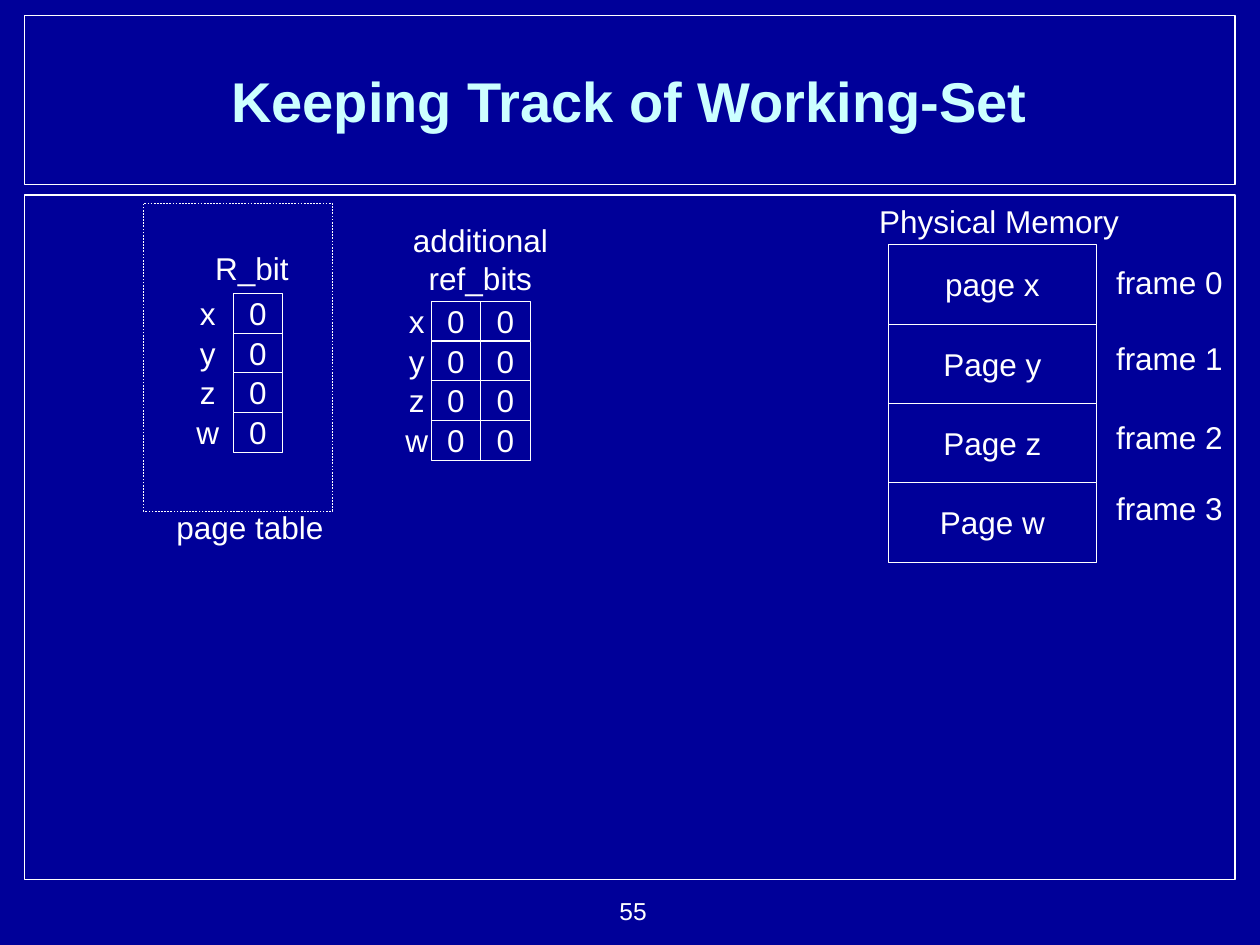
from pptx import Presentation
from pptx.dml.color import RGBColor
from pptx.enum.dml import MSO_LINE
from pptx.enum.shapes import MSO_SHAPE
from pptx.enum.text import MSO_ANCHOR, MSO_AUTO_SIZE, PP_ALIGN
from pptx.util import Cm, Pt

BACKGROUND = "000099"
WHITE = "FFFFFF"
TITLE_COLOR = "CCFFFF"
PAGES = "xyzw"
BIT_WIDTH, BIT_HEIGHT = 1, 0.8
FRAME_HEIGHT = 1.6


def color(hex_value):
    return RGBColor.from_string(hex_value)


def write_text(shape, text, size=18, bold=False, font_color=WHITE,
               align=PP_ALIGN.CENTER, anchor=MSO_ANCHOR.MIDDLE, wrap=False,
               auto_size=MSO_AUTO_SIZE.NONE):
    """Fill a shape with text, one paragraph per line."""
    frame = shape.text_frame
    frame.auto_size = auto_size
    frame.word_wrap = wrap
    frame.vertical_anchor = anchor
    frame.text = text
    for paragraph in frame.paragraphs:
        paragraph.alignment = align
        paragraph.font.name = "Arial"
        paragraph.font.size = Pt(size)
        paragraph.font.bold = bold
        paragraph.font.color.rgb = color(font_color)


def add_label(slide, text, left, top, width, height, **text_format):
    shape = slide.shapes.add_textbox(Cm(left), Cm(top), Cm(width), Cm(height))
    write_text(shape, text, **text_format)


def add_caption(slide, text, left, top, width, height=1.02):
    """Add a label whose box grows with its text instead of breaking it."""
    add_label(slide, text, left, top, width, height, anchor=MSO_ANCHOR.TOP,
              auto_size=MSO_AUTO_SIZE.SHAPE_TO_FIT_TEXT)


def add_box(slide, left, top, width, height, text=None, line_width=0.25, dash=None):
    """Add an outlined, unfilled rectangle."""
    shape = slide.shapes.add_shape(
        MSO_SHAPE.RECTANGLE, Cm(left), Cm(top), Cm(width), Cm(height))
    shape.shadow.inherit = False
    shape.fill.background()
    shape.line.color.rgb = color(WHITE)
    shape.line.width = Pt(line_width)
    if dash is not None:
        shape.line.dash_style = dash
    if text is not None:
        write_text(shape, text)


def add_bit_grid(slide, label_left, left, top, columns):
    """Add one row of zero bits for each page, with its name on the left."""
    for row, page in enumerate(PAGES):
        row_top = top + row * BIT_HEIGHT
        add_label(slide, page, label_left, row_top, BIT_WIDTH, BIT_HEIGHT)
        for column in range(columns):
            add_box(slide, left + column * BIT_WIDTH, row_top,
                    BIT_WIDTH, BIT_HEIGHT, text="0")


def add_physical_memory(slide):
    add_caption(slide, "Physical Memory", 17.34, 3.94, 5.6)
    names = ("page x", "Page y", "Page z", "Page w")
    label_tops = (5.18, 6.71, 8.31, 9.73)
    for number, (name, label_top) in enumerate(zip(names, label_tops)):
        add_box(slide, 17.91, 4.93 + number * FRAME_HEIGHT, 4.19, FRAME_HEIGHT, text=name)
        add_caption(slide, f"frame {number}", 22.24, label_top, 2.67)


def main():
    presentation = Presentation()
    presentation.slide_width, presentation.slide_height = Cm(25.4), Cm(19.05)
    slide = presentation.slides.add_slide(presentation.slide_layouts[6])
    slide.background.fill.solid()
    slide.background.fill.fore_color.rgb = color(BACKGROUND)

    add_box(slide, 0.5, 0.32, 24.4, 3.4, line_width=0.75)
    add_box(slide, 0.5, 3.93, 24.4, 13.8, line_width=0.75)
    add_label(slide, "Keeping Track of Working-Set", 0.89, 0.43, 23.6, 3.18,
              size=32, bold=True, font_color=TITLE_COLOR, wrap=True)
    add_label(slide, "55", 10.65, 17.93, 2.64, 0.86, size=14,
              align=PP_ALIGN.RIGHT, anchor=MSO_ANCHOR.TOP, wrap=True)

    add_physical_memory(slide)

    add_box(slide, 2.89, 4.1, 3.81, 6.2, dash=MSO_LINE.DASH)
    add_caption(slide, "page table", 3.3, 10.11, 3.48)
    add_caption(slide, "R_bit", 3.98, 4.9, 2.2)
    add_bit_grid(slide, 3.69, 4.7, 5.91, columns=1)

    add_caption(slide, "additional\nref_bits", 8.07, 4.34, 3.23, height=1.78)
    add_bit_grid(slide, 7.9, 8.69, 6.07, columns=2)

    presentation.save("out.pptx")


if __name__ == "__main__":
    main()
